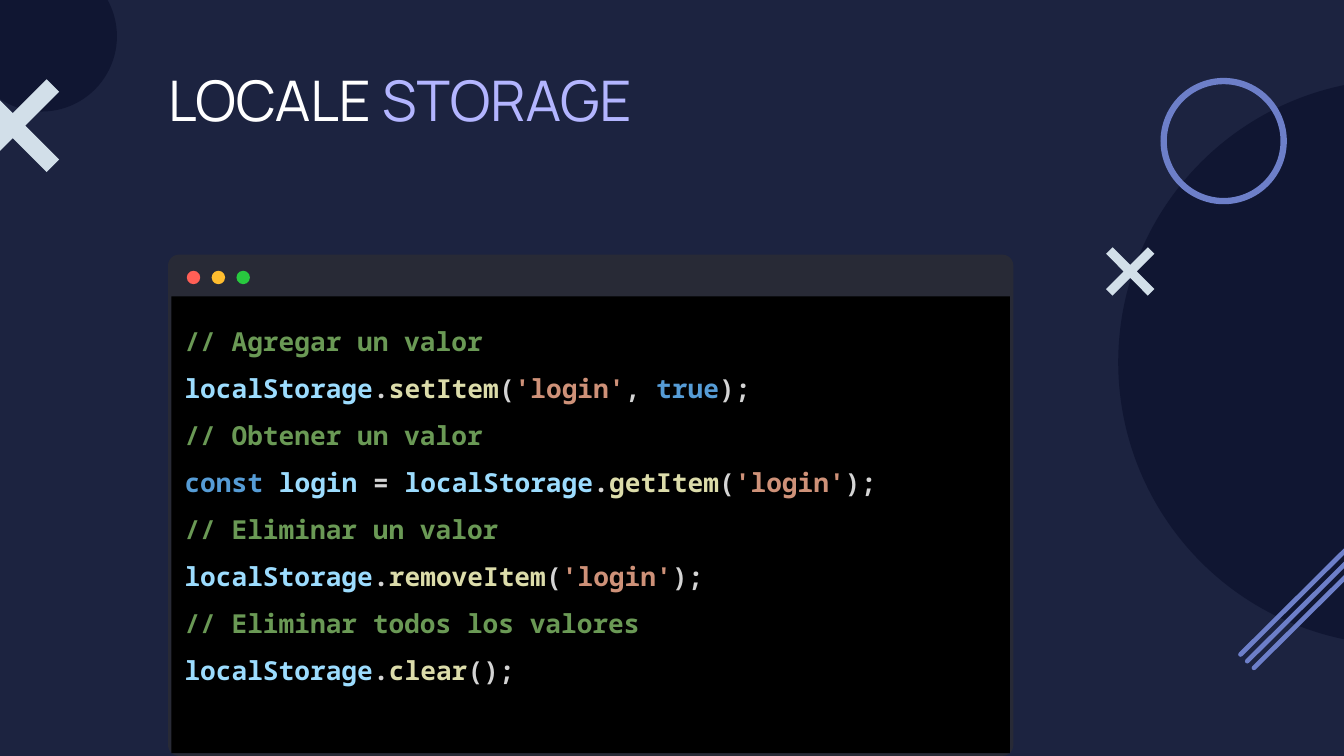
import pptx
import pptx.dml.color
import pptx.enum.shapes
import pptx.enum.text
import pptx.oxml
import pptx.oxml.ns
import pptx.util

COLS, ROWS = 100, 56.25
SHAPE = pptx.enum.shapes.MSO_SHAPE
INDIGO, NAVY, PALE = "6D7FC9", "101632", "D2DFE9"
GREEN, SKY, GREY, CREAM, RUST, BLUE = (
    "6A9955", "9CDCFE", "D4D4D4", "DCDCAA", "CE9178", "569CD6")
STORE, LOGIN = ("localStorage", SKY), ("'login'", RUST)
CODE = [
    [("// Agregar un valor", GREEN)],
    [STORE, (".", GREY), ("setItem", CREAM), ("(", GREY), LOGIN,
     (", ", GREY), ("true", BLUE), (");", GREY)],
    [("// Obtener un valor", GREEN)],
    [("const ", BLUE), ("login", SKY), (" = ", GREY), STORE, (".", GREY),
     ("getItem", CREAM), ("(", GREY), LOGIN, (");", GREY)],
    [("// Eliminar un valor", GREEN)],
    [STORE, (".", GREY), ("removeItem", CREAM), ("(", GREY), LOGIN, (");", GREY)],
    [("// Eliminar todos los valores", GREEN)],
    [STORE, (".", GREY), ("clear", CREAM), ("();", GREY)],
]


def grid(n):
    """Turn a count of grid cells into a length."""
    return pptx.util.Inches(n / 10)


def rgb(hex_color):
    """Turn a hex string into a colour."""
    return pptx.dml.color.RGBColor.from_string(hex_color)


def paint(sp, color):
    """Give a shape a plain fill with no line or shadow."""
    sp.fill.solid()
    sp.fill.fore_color.rgb = rgb(color)
    sp.line.fill.background()
    sp.shadow.inherit = False


def add_shape(s, kind, box, color, adj=None):
    """Add a flat preset shape in a grid box."""
    sp = s.shapes.add_shape(kind, *map(grid, box))
    paint(sp, color)
    if adj is not None:
        sp.adjustments[0] = adj
    return sp


def write(tf, lines, font, size, bold=False, spacing=None):
    """Write lines of coloured runs from the top left of a text frame."""
    tf.word_wrap = True
    tf.auto_size = pptx.enum.text.MSO_AUTO_SIZE.NONE
    tf.vertical_anchor = pptx.enum.text.MSO_ANCHOR.TOP
    tf.margin_left = tf.margin_right = tf.margin_top = tf.margin_bottom = grid(1)
    for i, line in enumerate(lines):
        p = tf.add_paragraph() if i else tf.paragraphs[0]
        p.alignment = pptx.enum.text.PP_ALIGN.LEFT
        p.line_spacing = spacing
        p.font.name, p.font.size, p.font.bold = font, pptx.util.Pt(size), bold
        for text, color in line:
            r = p.add_run()
            r.text = text
            r.font.color.rgb = rgb(color)


def add_title(s, box):
    """Place the two-colour title."""
    sp = s.shapes.title
    sp.left, sp.top, sp.width, sp.height = map(grid, box)
    write(sp.text_frame, [[("LOCALE ", "FFFFFF"), ("STORAGE", "B3B5FF")]], "Manrope", 30)


def add_code_window(s, box):
    """Draw the code window with its buttons and code."""
    x, y, w, h = box
    add_shape(s, SHAPE.ROUNDED_RECTANGLE, box, "282A36", 0.022)
    for i, color in enumerate(("FF5F56", "FFBD2F", "28C93F")):
        add_shape(s, SHAPE.OVAL, (x + 1.4 + 1.85 * i, y + 1.2, 1, 1), color)
    sp = add_shape(s, SHAPE.RECTANGLE, (x + 0.25, y + 3.1, w - 0.5, h - 3.3), "000000")
    write(sp.text_frame, CODE, "Noto Sans Mono", 14, True, 1.5)


def add_cross(s, box, arm=0.135):
    """Draw a diagonal cross filling a grid box."""
    x, y, w, h = box
    near, far = 0.5 - arm, 0.5 + arm
    shares = [(arm, 0), (0, arm), (near, 0.5), (0, 1 - arm), (arm, 1), (0.5, far),
              (1 - arm, 1), (1, 1 - arm), (far, 0.5), (1, arm), (1 - arm, 0), (0.5, near)]
    points = [(grid(x + w * u), grid(y + h * v)) for u, v in shares]
    builder = s.shapes.build_freeform(*points[0])
    builder.add_line_segments(points[1:])
    paint(builder.convert_to_shape(), PALE)


def add_stripes(s, box, count=3, step=0.5):
    """Draw parallel rising lines, the first one across a grid box."""
    x, y, w, h = box
    for i in range(count):
        dx, dy = x + step * i, y + step * i
        line = s.shapes.add_connector(
            pptx.enum.shapes.MSO_CONNECTOR.STRAIGHT,
            grid(dx), grid(dy + h), grid(dx + w), grid(dy))
        line.line.color.rgb = rgb(INDIGO)
        line.line.width = pptx.util.Pt(2.5)
        line.line._get_or_add_ln().set("cap", "rnd")
        line._element.spPr.append(pptx.oxml.parse_xml(
            f"<a:effectLst {pptx.oxml.ns.nsdecls('a')}/>"))


def add_decor(s):
    """Draw the ornaments along both edges."""
    add_shape(s, SHAPE.OVAL, (-2.5, -2.9, 11.2, 11.2), NAVY)
    add_shape(s, SHAPE.OVAL, (83.2, 5.9, 42.1, 42.1), NAVY)
    add_cross(s, (82.3, 18.4, 3.6, 3.6))
    add_shape(s, SHAPE.DONUT, (86.35, 5.8, 9.4, 9.4), INDIGO, 0.05)
    add_stripes(s, (92.3, 39.75, 9, 8.95))
    add_cross(s, (-2.5, 5.9, 6.9, 6.9))


def main():
    """Build and save the slide."""
    prs = pptx.Presentation()
    prs.slide_width, prs.slide_height = grid(COLS), grid(ROWS)
    s = prs.slides.add_slide(prs.slide_layouts[5])
    s.background.fill.solid()
    s.background.fill.fore_color.rgb = rgb("1C2340")
    add_code_window(s, (12.5, 18.95, 62.9, 37.3))
    add_title(s, (11.5, 3.9, 60.5, 8.6))
    add_decor(s)
    prs.save("out.pptx")


if __name__ == "__main__":
    main()
